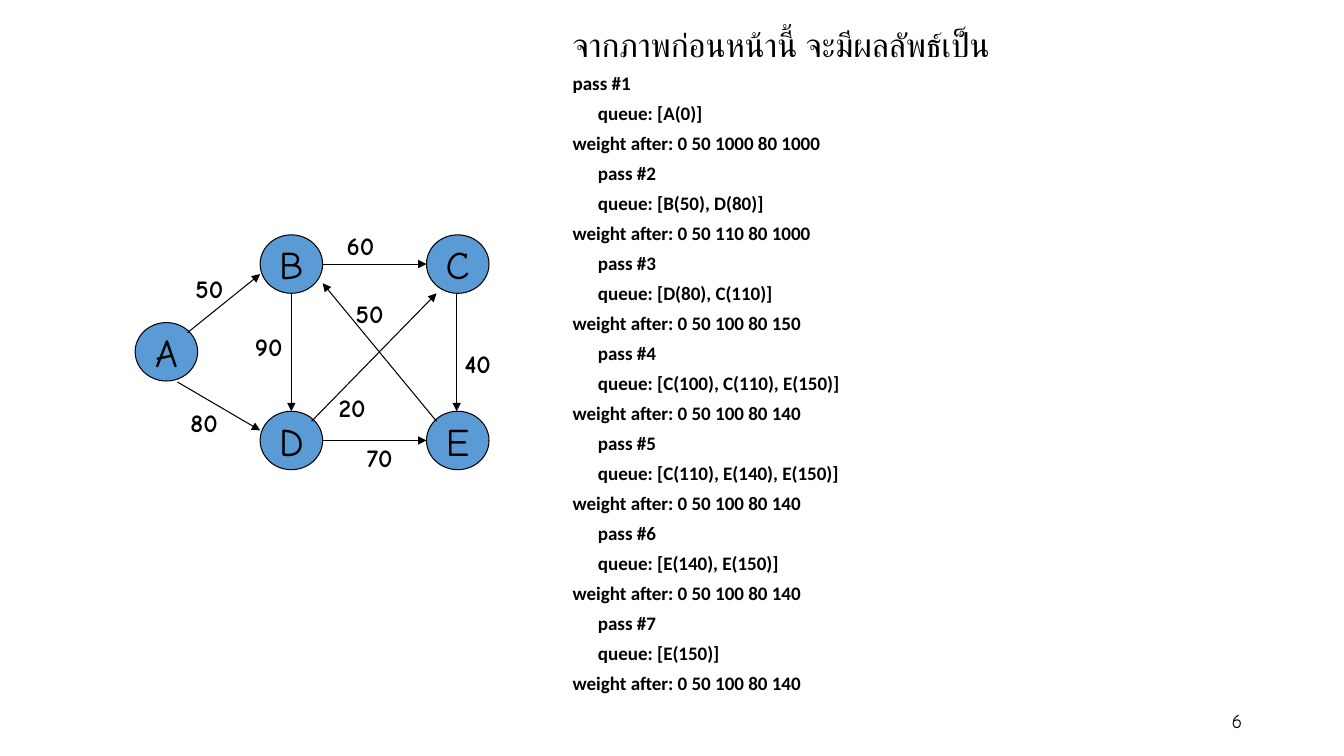
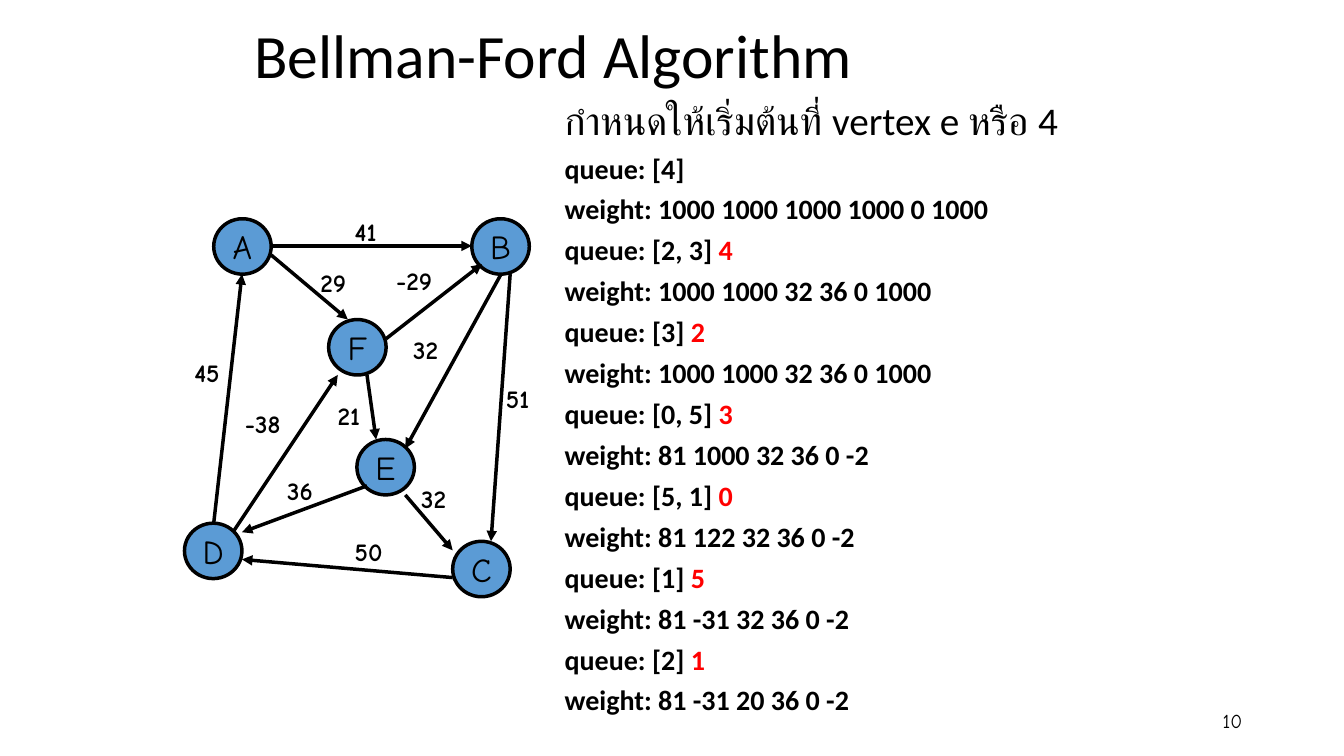
from pptx import Presentation
from pptx.util import Inches, Pt
from pptx.dml.color import RGBColor
from pptx.enum.shapes import MSO_SHAPE, MSO_CONNECTOR
from pptx.enum.text import PP_ALIGN, MSO_ANCHOR, MSO_AUTO_SIZE
from pptx.oxml.ns import qn
from lxml.etree import SubElement

# Shared look
BLACK = RGBColor(0x00, 0x00, 0x00)
WHITE = RGBColor(0xFF, 0xFF, 0xFF)
BLUE = RGBColor(0x5B, 0x9B, 0xD5)
RED = RGBColor(0xFF, 0x00, 0x00)
SANS = "Calibri"
COMIC = "Comic Neue"

# Content: queue and weights after each pass
HEAD1 = "จากภาพก่อนหน้านี้ จะมีผลลัพธ์เป็น"
PASSES = [
    ("A(0)", "0 50 1000 80 1000"),
    ("B(50), D(80)", "0 50 110 80 1000"),
    ("D(80), C(110)", "0 50 100 80 150"),
    ("C(100), C(110), E(150)", "0 50 100 80 140"),
    ("C(110), E(140), E(150)", "0 50 100 80 140"),
    ("E(140), E(150)", "0 50 100 80 140"),
    ("E(150)", "0 50 100 80 140"),
]

# Content: queue, vertex taken out, weights
TITLE = "Bellman-Ford Algorithm"
HEAD2 = "กำหนดให้เริ่มต้นที่ vertex e หรือ 4"
STEPS = [
    ("4", "", "1000 1000 1000 1000 0 1000"),
    ("2, 3", "4", "1000 1000 32 36 0 1000"),
    ("3", "2", "1000 1000 32 36 0 1000"),
    ("0, 5", "3", "81 1000 32 36 0 -2"),
    ("5, 1", "0", "81 122 32 36 0 -2"),
    ("1", "5", "81 -31 32 36 0 -2"),
    ("2", "1", "81 -31 20 36 0 -2"),
]

# Graphs: nodes as name: (left, top)
# edges as (start, end, weight, label corner)
GRAPH1 = dict(
    size=(0.62, 0.58), line=0.75, font=28,
    nodes={"B": (2.58, 2.33), "A": (1.34, 3.2), "D": (2.58, 4.08),
           "C": (4.23, 2.33), "E": (4.23, 4.08)},
    edges=[
        ((1.86, 3.3), (2.58, 2.72), "50", (1.84, 2.66)),
        ((1.76, 3.79), (2.58, 4.27), "80", (1.79, 3.99)),
        ((2.89, 2.91), (2.89, 4.08), "90", (2.43, 3.24)),
        ((3.2, 2.62), (4.23, 2.62), "60", (3.34, 2.24)),
        ((3.2, 4.37), (4.23, 4.37), "70", (3.54, 4.34)),
        ((4.53, 2.91), (4.53, 4.08), "40", (4.51, 3.41)),
        ((4.33, 4.18), (3.2, 2.81), "50", (3.43, 2.91)),
        ((3.09, 4.18), (4.33, 2.91), "20", (3.26, 3.84)),
    ])
GRAPH2 = dict(
    size=(0.57, 0.55), line=2.5, font=24,
    nodes={"A": (2.12, 2.17), "F": (3.26, 3.17), "E": (3.54, 4.36),
           "D": (1.83, 5.19), "B": (4.68, 2.17), "C": (4.49, 5.37)},
    edges=[
        ((2.69, 2.44), (4.68, 2.44), "41", (3.42, 2.1)),
        ((2.69, 2.53), (3.45, 3.17), "29", (3.08, 2.6)),
        ((2.12, 5.19), (2.4, 2.72), "45", (1.83, 3.5)),
        ((2.31, 5.28), (3.35, 3.72), "-38", (2.33, 4)),
        ((3.64, 3.72), (3.73, 4.36), "21", (3.25, 3.92)),
        ((4.97, 2.72), (4.02, 4.45), "32", (4, 3.27)),
        ((3.83, 3.36), (4.78, 2.62), "-29", (3.83, 2.58)),
        ((5.06, 2.72), (4.87, 5.37), "51", (4.92, 3.75)),
        ((4.02, 4.91), (4.49, 5.46), "32", (4.08, 4.75)),
        ((3.64, 4.82), (2.4, 5.28), "36", (2.75, 4.67)),
        ((4.49, 5.73), (2.4, 5.55), "50", (3.42, 5.27)),
    ])


def box(*nums):
    return [Inches(n) for n in nums]


def place(shape, *nums):
    shape.left, shape.top, shape.width, shape.height = box(*nums)


def write(para, text, size, font=SANS, bold=False, color=BLACK):
    run = para.add_run()
    run.text = text
    face = run.font
    face.size, face.name, face.bold = Pt(size), font, bold
    face.color.rgb = color


def add_body(slide, area, lines, sizes, space):
    """Each line is a list of (text, colour) runs; the first is the heading."""
    body = slide.placeholders[1]
    place(body, *area)
    body.fill.solid()
    body.fill.fore_color.rgb = WHITE
    frame = body.text_frame
    frame.auto_size = MSO_AUTO_SIZE.NONE
    for row, line in enumerate(lines):
        para = frame.add_paragraph() if row else frame.paragraphs[0]
        para.line_spacing, para.space_before = space, Pt(10)
        props = para._p.get_or_add_pPr()
        props.set("marL", str(Inches(0.25)))
        props.set("indent", str(-Inches(0.25)))
        SubElement(props, qn("a:buNone"))
        for text, color in line:
            write(para, text, sizes[row > 0], bold=row > 0, color=color)


def add_page(slide, number):
    frame = slide.shapes.add_textbox(*box(9.42, 6.95, 3, 0.4)).text_frame
    frame.word_wrap = True
    frame.vertical_anchor = MSO_ANCHOR.MIDDLE
    para = frame.paragraphs[0]
    para.alignment = PP_ALIGN.RIGHT
    write(para, number, 14, COMIC)


def add_graph(slide, graph):
    shapes = slide.shapes.add_group_shape().shapes
    # Nodes
    for name, spot in graph["nodes"].items():
        node = shapes.add_shape(MSO_SHAPE.OVAL, *box(*spot, *graph["size"]))
        node.shadow.inherit = False
        node.fill.solid()
        node.fill.fore_color.rgb = BLUE
        node.line.color.rgb = BLACK
        node.line.width = Pt(graph["line"])
        frame = node.text_frame
        frame.word_wrap = False
        frame.vertical_anchor = MSO_ANCHOR.MIDDLE
        para = frame.paragraphs[0]
        para.alignment = PP_ALIGN.CENTER
        write(para, name, graph["font"], COMIC)
    # Arrows
    for start, end, _, _ in graph["edges"]:
        edge = shapes.add_connector(MSO_CONNECTOR.STRAIGHT, *box(*start, *end))
        edge.line.color.rgb = BLACK
        edge.line.width = Pt(graph["line"])
        SubElement(edge.line._get_or_add_ln(), qn("a:tailEnd"), type="triangle")
        SubElement(edge._element.spPr, qn("a:effectLst"))
    # Weights
    for _, _, weight, spot in graph["edges"]:
        width = 0.57 if len(weight) < 3 else 0.7
        frame = shapes.add_textbox(*box(*spot, width, 0.4)).text_frame
        frame.word_wrap = True
        frame.auto_size = MSO_AUTO_SIZE.SHAPE_TO_FIT_TEXT
        write(frame.paragraphs[0], weight, 18, COMIC, True)


deck = Presentation()
deck.slide_width, deck.slide_height = box(13.33, 7.5)
layout = deck.slide_layouts[1]

# Slide with the passes
slide = deck.slides.add_slide(layout)
title = slide.shapes.title._element
title.getparent().remove(title)
lines = [HEAD1]
for count, (queue, weights) in enumerate(PASSES, 1):
    tab = "\t" if count > 1 else ""
    lines += [f"{tab}pass #{count}", f"\tqueue: [{queue}]",
              f"weight after: {weights}"]
add_body(slide, (5.58, 0.3, 6.17, 6.92),
         [[(line, BLACK)] for line in lines], (23.8, 13.6), 0.7)
add_page(slide, "6")
add_graph(slide, GRAPH1)

# Slide with the Bellman-Ford steps
slide = deck.slides.add_slide(layout)
title = slide.shapes.title
place(title, 2.42, 0.17, 7.51, 0.83)
title.text_frame.auto_size = MSO_AUTO_SIZE.NONE
title.text_frame.vertical_anchor = MSO_ANCHOR.MIDDLE
para = title.text_frame.paragraphs[0]
para.alignment, para.line_spacing = PP_ALIGN.LEFT, 0.9
write(para, TITLE, 44)
lines = [[(HEAD2, BLACK)]]
for queue, taken, weights in STEPS:
    line = [(f"queue: [{queue}] ", BLACK)]
    if taken:
        line.append((taken, RED))
    lines += [line, [(f"weight: {weights}", BLACK)]]
add_body(slide, (5.5, 1, 5.75, 6.33), lines, (28, 20), 0.8)
add_page(slide, "10")
add_graph(slide, GRAPH2)

deck.save("out.pptx")
